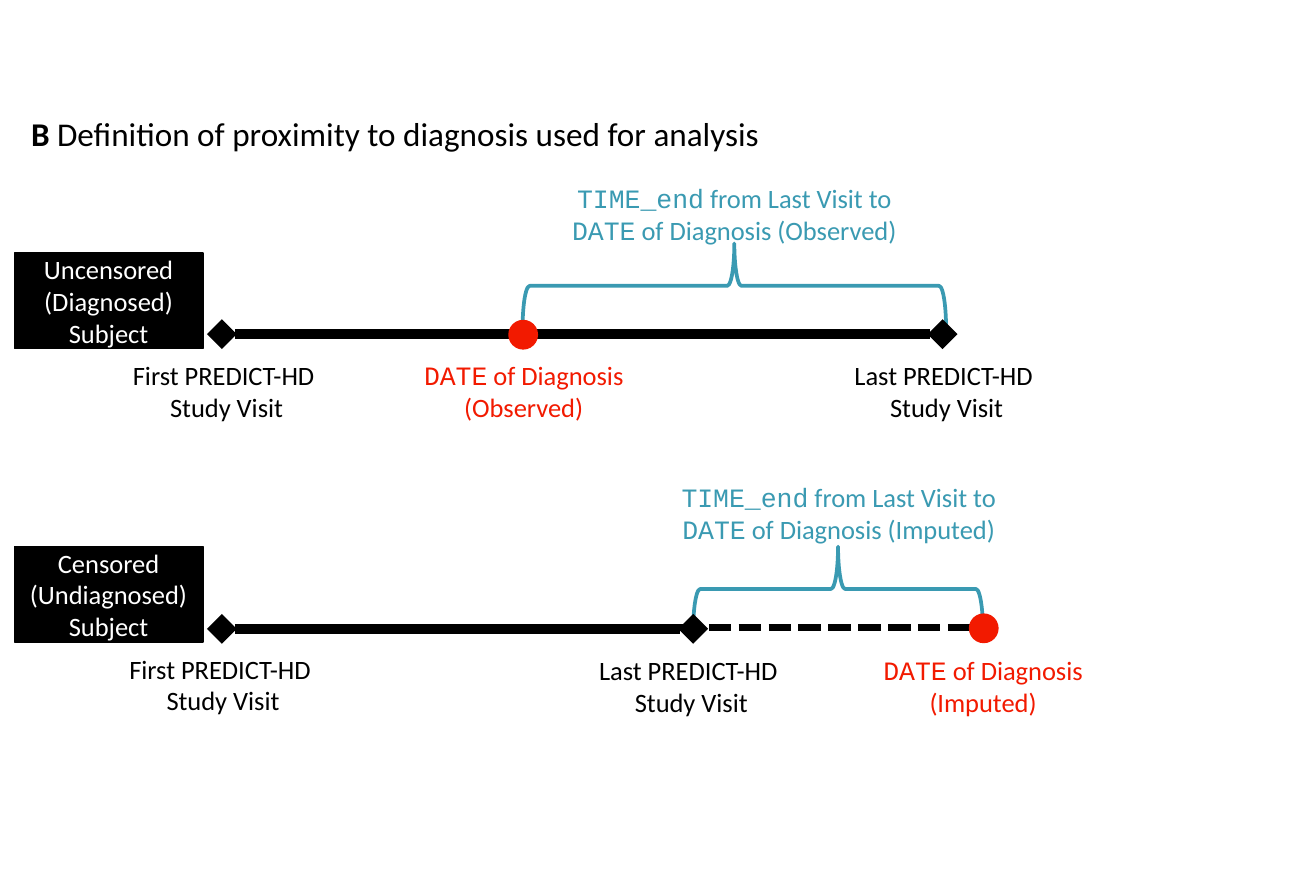
from dataclasses import dataclass

from lxml.etree import SubElement
from pptx import Presentation
from pptx.dml.color import RGBColor
from pptx.enum.dml import MSO_LINE_DASH_STYLE as Dash
from pptx.enum.shapes import MSO_CONNECTOR as Link, MSO_SHAPE as Kind
from pptx.enum.text import MSO_ANCHOR as Anchor, MSO_AUTO_SIZE as Fit, PP_ALIGN as Align
from pptx.oxml.ns import qn
from pptx.util import Inches, Pt

BLACK, WHITE, RED, TEAL = "000000", "FFFFFF", "F21A00", "3A9AB2"
SANS, MONO = "Calibri", "Courier New"
DOT = 0.25


@dataclass
class Run:
    text: str
    font: str = SANS
    bold: bool = False


@dataclass
class Label:
    left: float
    top: float
    width: float
    lines: list[list[Run]]
    color: str = BLACK
    wrap: bool = False


@dataclass
class Track:
    """One subject's timeline: solid from first to last visit, with a diagnosis dot."""
    subject: str
    box_top: float
    y: float
    last: float
    dot: float
    dot_y: float
    brace: tuple[float, float, float, float]
    labels: list[Label]


def rgb(code: str) -> RGBColor:
    return RGBColor.from_string(code)


def write(frame, lines: list[list[Run]], *, size: float = 16, color: str = BLACK,
          align=Align.CENTER, anchor=Anchor.TOP, wrap: bool = True, fit=Fit.NONE) -> None:
    frame.word_wrap, frame.auto_size, frame.vertical_anchor = wrap, fit, anchor
    for i, line in enumerate(lines):
        para = frame.paragraphs[0] if i == 0 else frame.add_paragraph()
        para.alignment = align
        for part in line:
            run = para.add_run()
            run.text = part.text
            font = run.font
            font.name, font.size, font.bold = part.font, Pt(size), part.bold
            font.color.rgb = rgb(color)


def shape(shapes, kind, left: float, top: float, width: float, height: float, *,
          fill: str = "", line: str = "", weight: float = 1):
    item = shapes.add_shape(kind, Inches(left), Inches(top), Inches(width), Inches(height))
    item.shadow.inherit = False
    if fill:
        item.fill.solid()
        item.fill.fore_color.rgb = rgb(fill)
    else:
        item.fill.background()
    if line:
        item.line.color.rgb = rgb(line)
        item.line.width = Pt(weight)
    else:
        item.line.fill.background()
    return item


def rule(shapes, start: float, end: float, y: float, weight: float, *,
         dash=None, ends: bool = False) -> None:
    """Draw a level line, with diamond ends if asked."""
    line = shapes.add_connector(Link.STRAIGHT, Inches(start), Inches(y), Inches(end), Inches(y))
    line.line.color.rgb = rgb(BLACK)
    line.line.width = Pt(weight)
    if dash:
        line.line.dash_style = dash
    if ends:
        for tag in ("a:headEnd", "a:tailEnd"):
            SubElement(line.line._get_or_add_ln(), qn(tag), type="diamond")
    SubElement(line._element.spPr, qn("a:effectLst"))


def visit(which: str, left: float, top: float, width: float) -> Label:
    return Label(left, top, width, [[Run(f"{which} PREDICT-HD ")], [Run("Study Visit")]])


def event(how: str, left: float, top: float) -> Label:
    lines = [[Run("DATE", MONO), Run(" of Diagnosis")], [Run(f"({how})")]]
    return Label(left, top, 1.9, lines, RED)


def span(how: str, left: float, top: float, width: float) -> Label:
    line = [Run("TIME_end", MONO), Run(" from Last Visit to "),
            Run("DATE", MONO), Run(f" of Diagnosis ({how})")]
    return Label(left, top, width, [line], TEAL, True)


def draw(shapes, track: Track) -> None:
    brace = shape(shapes, Kind.RIGHT_BRACE, *track.brace, line=TEAL, weight=2.25)
    brace.rotation = 270
    rule(shapes, 1.86, track.last, track.y, 6, ends=True)
    if track.dot > track.last:
        rule(shapes, 4.94, 8.24, 5.26, 4.5, dash=Dash.SQUARE_DOT)
    shape(shapes, Kind.OVAL, track.dot, track.dot_y, DOT, DOT, fill=RED)
    box = shape(shapes, Kind.RECTANGLE, 0.12, track.box_top, 1.58, 0.8, fill=BLACK, line=BLACK)
    write(box.text_frame, [[Run(track.subject)]], color=WHITE, anchor=Anchor.MIDDLE)
    for label in track.labels:
        text = shapes.add_textbox(Inches(label.left), Inches(label.top),
                                  Inches(label.width), Inches(0.64))
        write(text.text_frame, label.lines, color=label.color, wrap=label.wrap,
              fit=Fit.SHAPE_TO_FIT_TEXT)


TRACKS = [
    Track("Uncensored (Diagnosed) Subject", 2.12, 2.8, 7.9, 4.26, 2.68,
          (5.8, 0.62, 0.71, 3.55),
          [visit("First", 1, 2.96, 1.8), event("Observed", 3.44, 2.96),
           visit("Last", 7.05, 2.96, 1.77), span("Observed", 4.68, 1.48, 2.95)]),
    Track("Censored (Undiagnosed) Subject", 4.58, 5.27, 5.81, 8.12, 5.14,
          (6.67, 3.72, 0.71, 2.43),
          [visit("First", 0.97, 5.42, 1.8), visit("Last", 4.91, 5.43, 1.77),
           event("Imputed", 7.29, 5.43), span("Imputed", 5.6, 3.98, 2.86)]),
]


def main() -> None:
    deck = Presentation()
    deck.slide_width, deck.slide_height = Inches(11.03), Inches(7.5)
    slide = deck.slides.add_slide(deck.slide_layouts[5])
    title = slide.shapes.title
    title.left, title.top = Inches(0.16), Inches(0.99)
    title.width, title.height = Inches(6.71), Inches(0.25)
    write(title.text_frame,
          [[Run("B", bold=True), Run(" Definition of proximity to diagnosis used for analysis")]],
          size=20, align=Align.LEFT, anchor=Anchor.MIDDLE)
    for track in TRACKS:
        draw(slide.shapes, track)
    deck.save("out.pptx")


if __name__ == "__main__":
    main()
